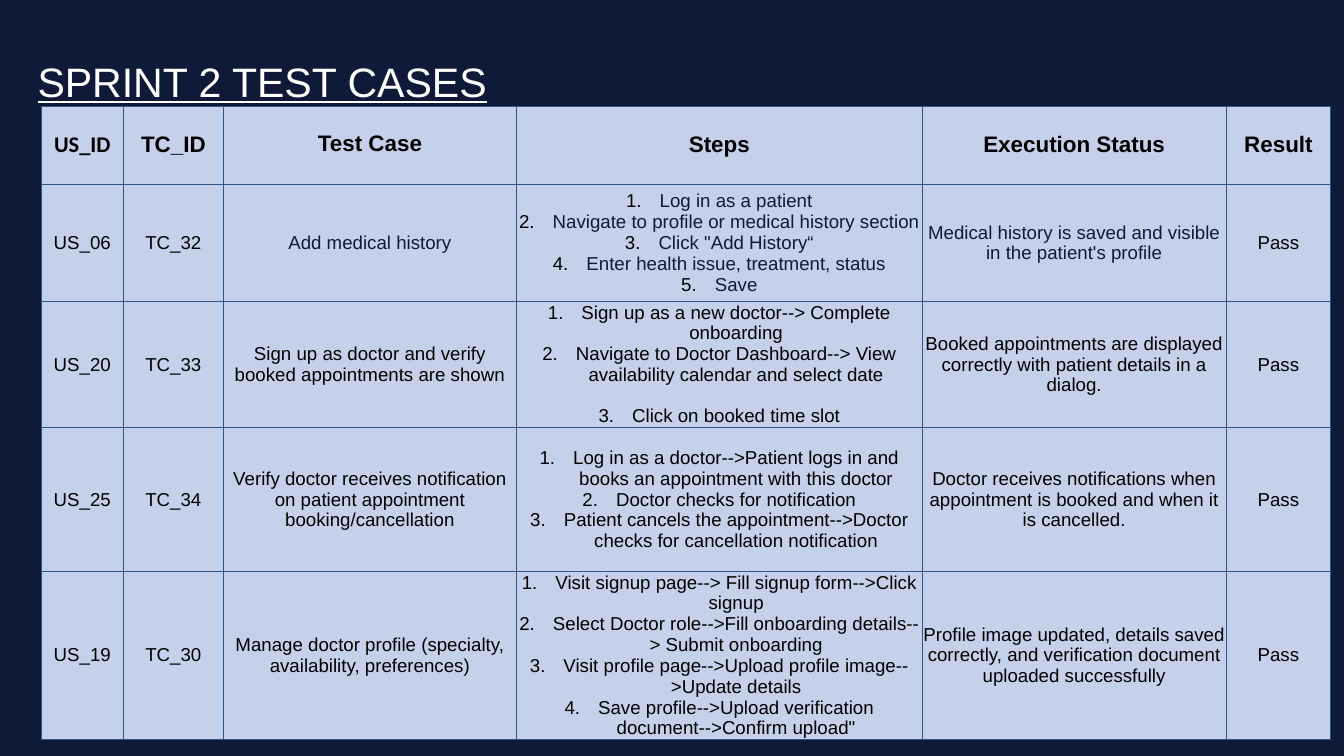
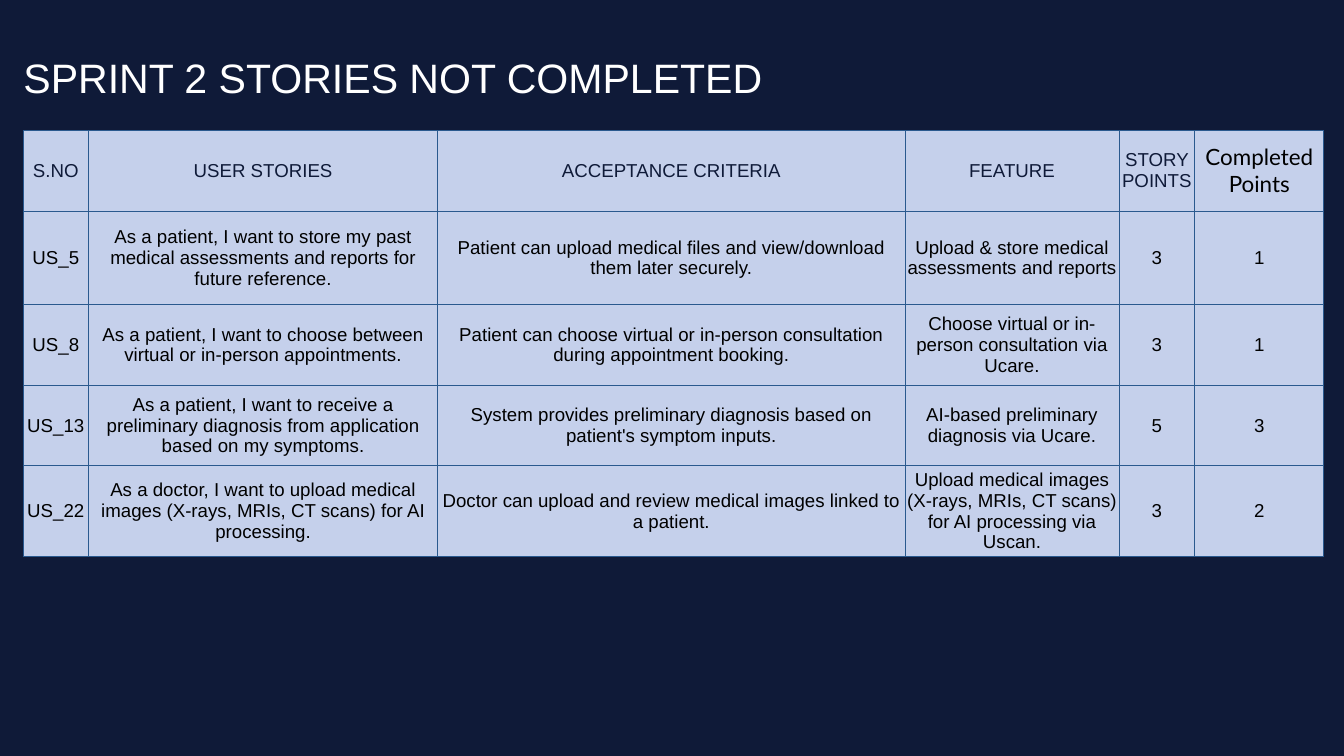
import pptx
import pptx.util
import pptx.dml.color
import pptx.enum.text
import pptx.oxml
from lxml import etree

Pt = pptx.util.Pt
RGB = pptx.dml.color.RGBColor
ALIGN = pptx.enum.text.PP_ALIGN
MIDDLE = pptx.enum.text.MSO_ANCHOR.MIDDLE

# Shared look
NAVY = RGB(0x0F, 0x1A, 0x38)
WHITE = RGB(0xFF, 0xFF, 0xFF)
BLACK = RGB(0, 0, 0)
PALE = RGB(0xC5, 0xD0, 0xEB)
EDGE = RGB(0x2A, 0x59, 0x8E)
FONT = "Arial"
BODY = 20
HEAD = 24
NS = "http://schemas.openxmlformats.org/drawingml/2006/main"

# Test cases
CASE_COLS = [88.56, 106.56, 314.64, 434.16, 326.16, 111.6]
CASE_ROWS = [83.5, 125.5, 135, 154.5, 179.5]
CASE_HEAD = ["US_ID", "TC_ID", "Test Case", "Steps", "Execution Status", "Result"]
CASES = [
    ["US_06", "TC_32", "Add medical history",
     ["Log in as a patient",
      "Navigate to profile or medical history section",
      'Click "Add History“',
      "Enter health issue, treatment, status",
      "Save"],
     "Medical history is saved and visible in the patient's profile", "Pass"],
    ["US_20", "TC_33", "Sign up as doctor and verify booked appointments are shown",
     ["Sign up as a new doctor--> Complete onboarding",
      "Navigate to Doctor Dashboard--> View availability calendar and select date",
      "Click on booked time slot"],
     "Booked appointments are displayed correctly with patient details in a dialog.",
     "Pass"],
    ["US_25", "TC_34",
     "Verify doctor receives notification on patient appointment booking/cancellation",
     ["Log in as a doctor-->Patient logs in and books an appointment with this doctor",
      "Doctor checks for notification",
      "Patient cancels the appointment-->Doctor checks for cancellation notification"],
     "Doctor receives notifications when appointment is booked and when it is cancelled.",
     "Pass"],
    ["US_19", "TC_30", "Manage doctor profile (specialty, availability, preferences)",
     ["Visit signup page--> Fill signup form-->Click signup",
      "Select Doctor role-->Fill onboarding details--> Submit onboarding",
      "Visit profile page-->Upload profile image-->Update details",
      'Save profile-->Upload verification document-->Confirm upload"'],
     "Profile image updated, details saved correctly, and verification document "
     "uploaded successfully", "Pass"],
]

# Open stories
STORY_COLS = [70.56, 373.68, 501.12, 228.96, 81.36, 138.24]
STORY_ROWS = [86.4, 100, 86.4, 86.4, 90.5]
STORY_HEAD = ["S.NO", "USER STORIES", "ACCEPTANCE CRITERIA", "FEATURE",
              "STORY POINTS", "Completed Points"]
STORIES = [
    ["US_5",
     "As a patient, I want to store my past medical assessments and reports for "
     "future reference.",
     "Patient can upload medical files and view/download them later securely.",
     "Upload & store medical assessments and reports", "3", "1"],
    ["US_8",
     "As a patient, I want to choose between virtual or in-person appointments.",
     "Patient can choose virtual or in-person consultation during appointment booking.",
     "Choose virtual or in-person consultation via Ucare.", "3", "1"],
    ["US_13",
     "As a patient, I want to receive a preliminary diagnosis from application "
     "based on my symptoms.",
     "System provides preliminary diagnosis based on patient's symptom inputs.",
     "AI-based preliminary diagnosis via Ucare.", "5", "3"],
    ["US_22",
     "As a doctor, I want to upload medical images (X-rays, MRIs, CT scans) for "
     "AI processing.",
     "Doctor can upload and review medical images linked to a patient.",
     "Upload medical images (X-rays, MRIs, CT scans) for AI processing via Uscan.",
     "3", "2"],
]


def number(para):
    """Number a paragraph with a hanging indent."""
    props = para._p.get_or_add_pPr()
    props.set("marL", str(Pt(36)))
    props.set("indent", str(-Pt(36)))
    tint = etree.SubElement(props, f"{{{NS}}}buClr")
    etree.SubElement(tint, f"{{{NS}}}srgbClr", val=str(BLACK))
    etree.SubElement(props, f"{{{NS}}}buFont", typeface=FONT)
    etree.SubElement(props, f"{{{NS}}}buAutoNum", type="arabicPeriod")


def write(frame, text, size=BODY, font=FONT, color=BLACK, bold=False,
          line=False, align=ALIGN.CENTER):
    """Write a string, or a list of strings as numbered steps."""
    steps = isinstance(text, list)
    for i, part in enumerate(text if steps else [text]):
        para = frame.add_paragraph() if i else frame.paragraphs[0]
        para.alignment = align
        if steps:
            number(para)
        run = para.add_run()
        run.text = part
        run.font.size = Pt(size)
        run.font.name = font
        run.font.color.rgb = color
        run.font.bold = bold
        run.font.underline = line


def border(cell):
    props = cell._tc.get_or_add_tcPr()
    for side in "LRTB":
        props.append(pptx.oxml.parse_xml(
            f'<a:ln{side} xmlns:a="{NS}" w="{Pt(0.75)}"><a:solidFill>'
            f'<a:srgbClr val="{EDGE}"/></a:solidFill></a:ln{side}>'))


def grid(slide, left, top, cols, rows, data, style):
    """Add a table; style(row, col) gives the text format of a cell."""
    frame = slide.shapes.add_table(len(rows), len(cols), Pt(left), Pt(top),
                                   Pt(sum(cols)), Pt(sum(rows)))
    table = frame.table
    table.first_row = table.horz_banding = False
    for col, width in zip(table.columns, cols):
        col.width = Pt(width)
    for r, high in enumerate(rows):
        table.rows[r].height = Pt(high)
        for c, text in enumerate(data[r]):
            cell = table.cell(r, c)
            border(cell)
            cell.fill.solid()
            cell.fill.fore_color.rgb = PALE
            cell.vertical_anchor = MIDDLE
            gap = Pt(0.72) if r else 0
            cell.margin_left = cell.margin_right = cell.margin_top = gap
            cell.margin_bottom = 0
            write(cell.text_frame, text, **style(r, c))
    return table


def title(slide, left, top, text, **form):
    box = slide.shapes.add_textbox(Pt(left), Pt(top), Pt(944.64), Pt(115.92))
    box.text_frame.word_wrap = True
    box.text_frame.vertical_anchor = MIDDLE
    write(box.text_frame, text, size=44, color=WHITE, align=ALIGN.LEFT, **form)


def page(deck):
    slide = deck.slides.add_slide(deck.slide_layouts[6])
    slide.background.fill.solid()
    slide.background.fill.fore_color.rgb = NAVY
    return slide


def case_style(row, col):
    if row == 0:
        return dict(size=HEAD, bold=True, font=FONT if col else "Calibri")
    return dict(color=NAVY if row == 1 and 2 <= col <= 4 else BLACK)


def story_style(row, col):
    if row:
        return {}
    if col == 5:
        return dict(size=HEAD, font="Lato")
    return dict(color=NAVY)


def main():
    deck = pptx.Presentation()
    deck.slide_width, deck.slide_height = Pt(1440), Pt(810)

    # Test cases
    slide = page(deck)
    table = grid(slide, 43.92, 113.76, CASE_COLS, CASE_ROWS,
                 [CASE_HEAD] + CASES, case_style)
    table.cell(0, 2).margin_bottom = Pt(4)
    # Set the last booking step apart
    table.cell(2, 3).text_frame.paragraphs[1].space_after = Pt(22)
    title(slide, 33.12, 28.8, "SPRINT 2 TEST CASES", line=True)

    # Open stories
    slide = page(deck)
    title(slide, 18, 24.48, "SPRINT 2 STORIES NOT COMPLETED")
    grid(slide, 24.48, 139.68, STORY_COLS, STORY_ROWS,
         [STORY_HEAD] + STORIES, story_style)

    deck.save("out.pptx")


if __name__ == "__main__":
    main()
